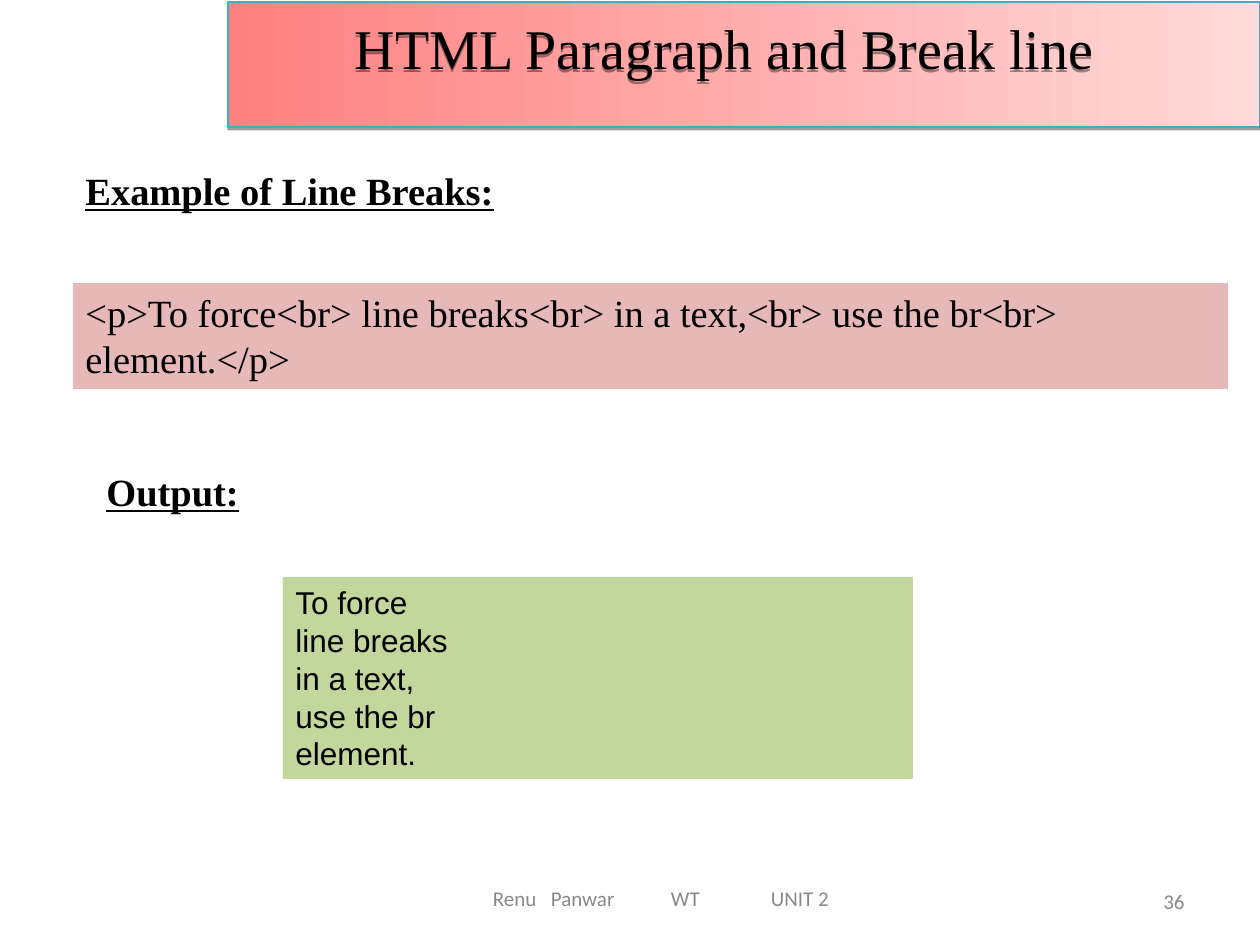
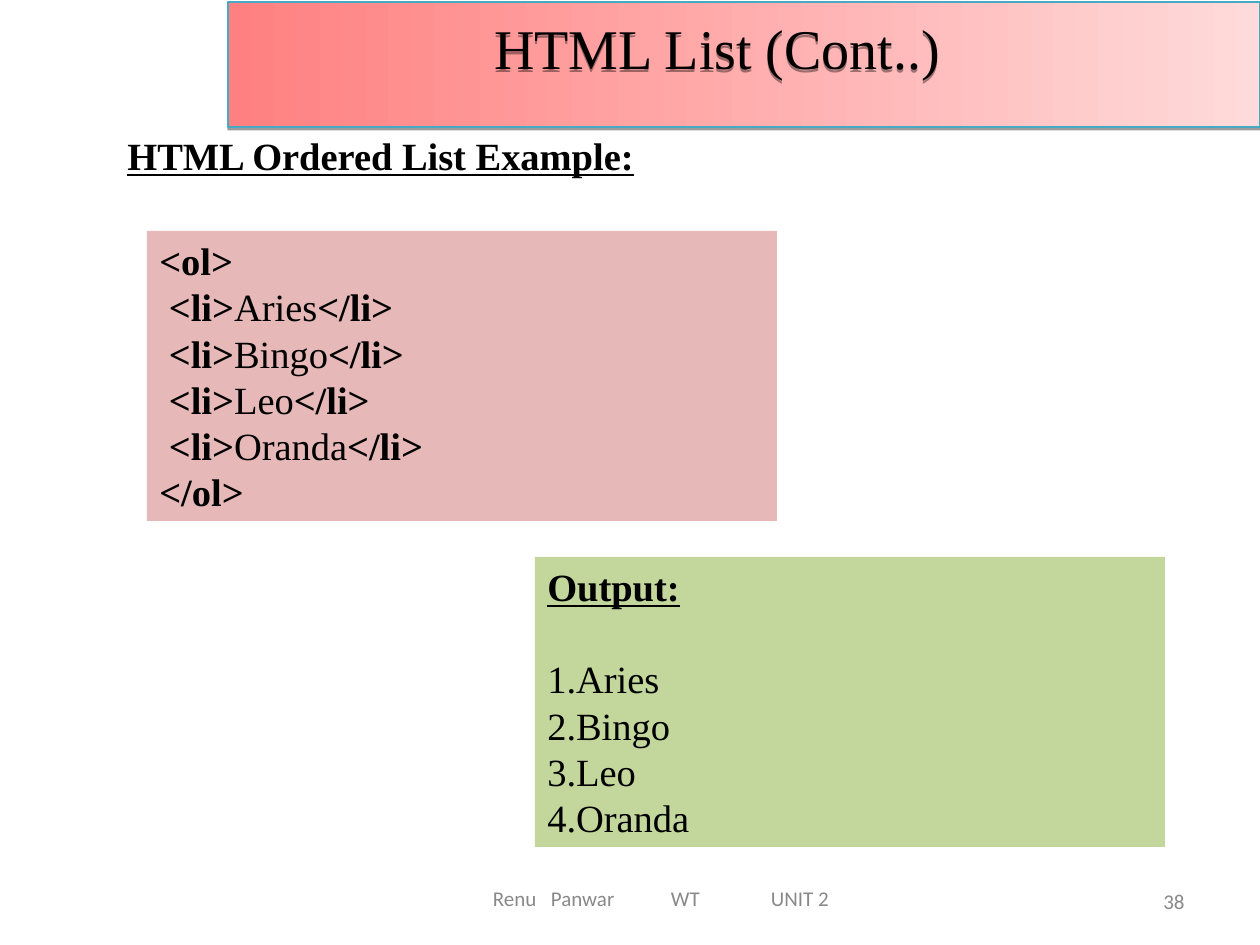
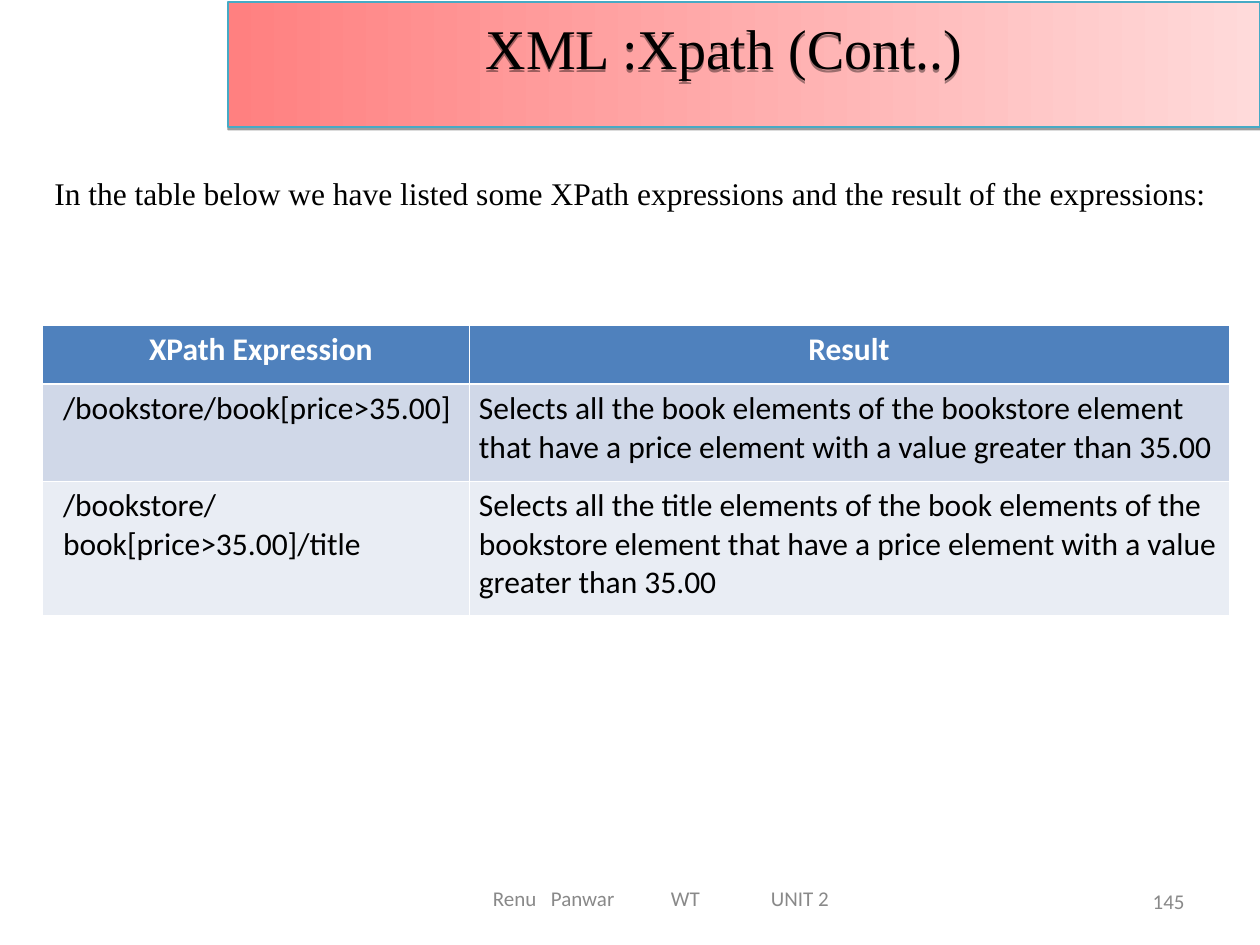
from lxml import etree
from pptx import Presentation
from pptx.dml.color import RGBColor
from pptx.enum.shapes import MSO_SHAPE as SHAPE
from pptx.enum.text import MSO_ANCHOR as ANCHOR, PP_ALIGN as ALIGN
from pptx.oxml import parse_xml
from pptx.oxml.ns import nsdecls, qn
from pptx.util import Emu, Pt

PX = 914400 / 126
SERIF, SANS, UI = "Times New Roman", "Arial", "Calibri"
BLACK, WHITE, GREY = "000000", "FFFFFF", "898989"
CODE_PINK, OUTPUT_GREEN = "E6B9B8", "C3D69B"
BAND_FROM, BAND_TO, BAND_EDGE = "FF8080", "FFDADA", "46AAC5"
HEADER_BLUE, ROW_BLUE, ROW_PALE = "4F81BD", "D0D8E8", "E9EDF4"
SHADOW = (f'<a:effectLst {nsdecls("a")}><a:outerShdw dist="20320" dir="5400000" rotWithShape="0">'
          '<a:srgbClr val="000000"><a:alpha val="38000"/></a:srgbClr></a:outerShdw></a:effectLst>')


def rgb(value):
    return RGBColor.from_string(value)


def write(frame, paragraphs, size, font=SERIF, color=BLACK, align=ALIGN.LEFT):
    """Fill a frame; a paragraph is a list of (text, style) runs, style holding b and/or u."""
    frame.word_wrap = True
    for i, runs in enumerate(paragraphs):
        par = frame.paragraphs[0] if i == 0 else frame.add_paragraph()
        par.alignment = align
        if font != UI:
            par.line_spacing = Pt(size * 1.2)
        for text, style in runs:
            for n, line in enumerate(text.split("\n")):
                if n:
                    par.add_line_break()
                run = par.add_run()
                run.text = line
                run.font.size, run.font.name = Pt(size), font
                run.font.color.rgb = rgb(color)
                run.font.bold, run.font.underline = "b" in style, "u" in style


deck = Presentation()
deck.slide_width, deck.slide_height = Emu(round(1260 * PX)), Emu(round(945 * PX))

# Content: title, page number, then boxes as (place, fill, size, font, paragraphs)
zodiac = ["Aries", "Bingo", "Leo", "Oranda"]
list_code = [[("<ol>", "b")],
             *[[(" ", ""), ("<li>", "b"), (sign, ""), ("</li>", "b")] for sign in zodiac],
             [("</ol>", "b")]]
list_output = [[("Output:", "bu")], *[[(sign, "")] for sign in zodiac]]
pages = [
    ("HTML Paragraph and Break line", "36", [
        ((73, 161, 1155, 59), None, 22, SERIF, [[("Example of Line Breaks:", "bu")]]),
        ((73, 283, 1155, 106), CODE_PINK, 22, SERIF,
         [[("<p>To force<br> line breaks<br> in a text,<br> use the br<br> element.</p>", "")]]),
        ((94, 462, 1155, 59), None, 22, SERIF, [[("Output:", "bu")]]),
        ((283, 577, 630, 202), OUTPUT_GREEN, 18, SANS,
         [[("To force\nline breaks\nin a text,\nuse the br\nelement.", "")]]),
    ]),
    ("HTML List (Cont..) ", "38", [
        ((115, 126, 1050, 59), None, 22, SERIF, [[("HTML Ordered List Example:", "bu")]]),
        ((147, 231, 630, 290), CODE_PINK, 22, SERIF, list_code),
        ((535, 557, 630, 290), OUTPUT_GREEN, 22, SERIF, list_output),
    ]),
    ("XML :Xpath (Cont..)", "145", [
        ((42, 168, 1197, 50), None, 18, SERIF,
         [[("In the table below we have listed some XPath expressions "
            "and the result of the expressions:", "")]]),
    ]),
]

for title, number, boxes in pages:
    slide = deck.slides.add_slide(deck.slide_layouts[6])

    # Title band
    band = slide.shapes.add_shape(SHAPE.RECTANGLE, *[round(v * PX) for v in (228, 2, 1032, 125)])
    band.fill.gradient()
    band.fill.gradient_angle = 0
    for stop, tint in zip(band.fill.gradient_stops, (BAND_FROM, BAND_TO)):
        stop.color.rgb = rgb(tint)
    band.line.color.rgb = rgb(BAND_EDGE)
    band.line.width = Pt(0.75)
    band._element.spPr.append(parse_xml(SHADOW))

    # Title, page number and footer
    heading, page_no, footer = [
        slide.shapes.add_textbox(*[round(v * PX) for v in place])
        for place in ((189, 0, 1071, 94), (903, 876, 294, 50), (315, 873, 693, 50))]
    for part in (heading, page_no, footer):
        part.text_frame.vertical_anchor = ANCHOR.MIDDLE
    heading._element.spPr.append(parse_xml(SHADOW))
    write(heading.text_frame, [[(title, "")]], 32, align=ALIGN.CENTER)
    write(page_no.text_frame, [[(number, "")]], 12, UI, GREY, ALIGN.RIGHT)
    footer.text_frame.margin_left = round(178 * PX)
    tabs = etree.SubElement(footer.text_frame.paragraphs[0]._p.get_or_add_pPr(), qn("a:tabLst"))
    for stop in (58, 178, 278):
        etree.SubElement(tabs, qn("a:tab"), pos=str(round(stop * PX)), algn="l")
    write(footer.text_frame, [[("Renu\tPanwar\tWT\tUNIT 2", "")]], 12, UI, GREY)

    # Headings, code and output boxes
    for place, fill, size, font, paragraphs in boxes:
        box = slide.shapes.add_textbox(*[round(v * PX) for v in place])
        if fill:
            box.fill.solid()
            box.fill.fore_color.rgb = rgb(fill)
        write(box.text_frame, paragraphs, size, font)
        if paragraphs is list_output:
            items = box.text_frame.paragraphs[1:]
            items[0].space_before = Pt(26.4)
            for item in items:
                props = item._p.get_or_add_pPr()
                props.set("marL", "0")
                props.set("indent", "0")
                etree.SubElement(props, qn("a:buFont"), typeface=SERIF)
                etree.SubElement(props, qn("a:buAutoNum"), type="arabicPeriod")

# XPath table on the last slide
expressions = [
    ("XPath Expression", "Result"),
    ("/bookstore/book[price>35.00]",
     "Selects all the book elements of the bookstore element that have a price element "
     "with a value greater than 35.00"),
    ("/bookstore/book[price>35.00]/title",
     "Selects all the title elements of the book elements of the bookstore element that have "
     "a price element with a value greater than 35.00"),
]
table = slide.shapes.add_table(3, 2, *[round(v * PX) for v in (42, 325, 1187, 290)]).table
for column, width in zip(table.columns, (427, 760)):
    column.width = round(width * PX)
for row, height in zip(table.rows, (59, 97, 134)):
    row.height = round(height * PX)
for r, (texts, fill) in enumerate(zip(expressions, (HEADER_BLUE, ROW_BLUE, ROW_PALE))):
    for c, text in enumerate(texts):
        cell = table.cell(r, c)
        cell.margin_left, cell.margin_right = round((21, 10)[c] * PX), round(10 * PX)
        cell.margin_top = cell.margin_bottom = round(6 * PX)
        header = r == 0
        write(cell.text_frame, [[(text, "b" if header else "")]], 18, UI,
              WHITE if header else BLACK, ALIGN.CENTER if header else ALIGN.LEFT)
        props = cell._tc.get_or_add_tcPr()
        for side in "LRTB":
            thick = (r, side) in ((0, "B"), (1, "T"))
            edge = etree.SubElement(props, qn(f"a:ln{side}"), w=str(Pt(1.47 if thick else 0.45)))
            paint = etree.SubElement(edge, qn("a:solidFill"))
            etree.SubElement(paint, qn("a:srgbClr"), val=WHITE)
        cell.fill.solid()
        cell.fill.fore_color.rgb = rgb(fill)

deck.save("out.pptx")
